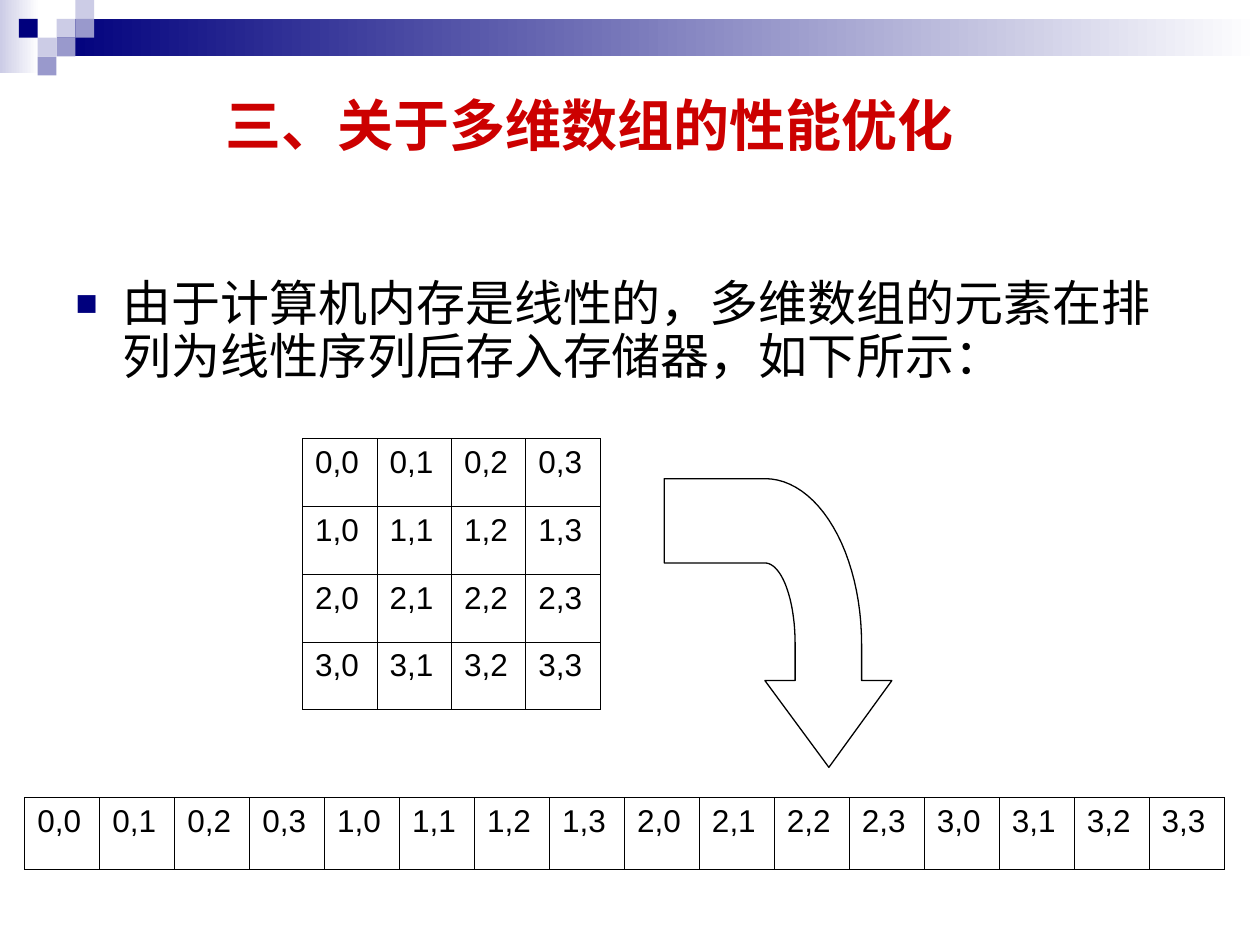
import math

from lxml import etree
from pptx import Presentation
from pptx.dml.color import RGBColor
from pptx.enum.shapes import MSO_SHAPE
from pptx.enum.text import MSO_ANCHOR, MSO_AUTO_SIZE, PP_ALIGN
from pptx.oxml.ns import qn
from pptx.util import Cm, Pt

RECTANGLE = MSO_SHAPE.RECTANGLE
MIDDLE, TOP = MSO_ANCHOR.MIDDLE, MSO_ANCHOR.TOP
LEFT = PP_ALIGN.LEFT
NO_AUTOFIT = MSO_AUTO_SIZE.NONE

WHITE = RGBColor(0xFF, 0xFF, 0xFF)
BLACK = RGBColor(0, 0, 0)
RED = RGBColor(0xCC, 0, 0)
NAVY = RGBColor(0, 0, 0x7D)
LAVENDER = RGBColor(0xCC, 0xCC, 0xE6)
PERIWINKLE = RGBColor(0x99, 0x99, 0xCC)

FONT = "Arial"
TILE = 0.38
TILES = [  # column, row, colour
    (3, 1, LAVENDER), (4, 0, LAVENDER), (4, 1, PERIWINKLE), (2, 2, LAVENDER),
    (1, 1, NAVY), (3, 2, PERIWINKLE), (2, 3, PERIWINKLE),
]


def add_rectangle(page, left, top, width, height):
    box = page.shapes.add_shape(RECTANGLE, Cm(left), Cm(top), Cm(width), Cm(height))
    box.shadow.inherit = False
    box.line.fill.background()
    return box


def add_fading_bar(page, left, top, width, height, color):
    fill = add_rectangle(page, left, top, width, height).fill
    fill.gradient()
    fill.gradient_angle = 0
    for stop, stop_color in zip(fill.gradient_stops, (color, WHITE)):
        stop.color.rgb = stop_color


def add_banner(page):
    add_fading_bar(page, 0, 0, 0.79, 1.47, LAVENDER)
    add_fading_bar(page, 3 * TILE, TILE, 25.4 - 3 * TILE, 2 * TILE, NAVY)
    for column, row, color in TILES:
        tile = add_rectangle(page, column * TILE, row * TILE, TILE, TILE)
        tile.fill.solid()
        tile.fill.fore_color.rgb = color


def format_paragraph(para, size, color, bold=False):
    para.alignment = LEFT
    para.space_before = Pt(0)
    for span in para.runs:
        span.font.name = FONT
        span.font.size = Pt(size)
        span.font.bold = bold
        span.font.color.rgb = color


def fill_placeholder(box, text, left, top, width, height, anchor):
    box.left, box.top, box.width, box.height = Cm(left), Cm(top), Cm(width), Cm(height)
    frame = box.text_frame
    frame.text = text
    frame.word_wrap = True
    frame.auto_size = NO_AUTOFIT
    frame.vertical_anchor = anchor
    return frame.paragraphs[0]


def add_square_bullet(para):
    properties = para._p.get_or_add_pPr()
    properties.set("marL", str(Cm(0.95)))
    properties.set("indent", str(-Cm(0.95)))
    color = etree.SubElement(properties, qn("a:buClr"))
    etree.SubElement(color, qn("a:srgbClr"), val=str(NAVY))
    etree.SubElement(properties, qn("a:buSzPct"), val="75000")
    etree.SubElement(properties, qn("a:buFont"), typeface=FONT)
    etree.SubElement(properties, qn("a:buChar"), char="■")


def add_cell_borders(cell):
    properties = cell._tc.get_or_add_tcPr()
    for side in ("a:lnL", "a:lnR", "a:lnT", "a:lnB"):
        line = etree.SubElement(properties, qn(side), w=str(Pt(0.45)))
        fill = etree.SubElement(line, qn("a:solidFill"))
        etree.SubElement(fill, qn("a:srgbClr"), val=str(BLACK))


def add_index_table(page, rows, left, top, width, height):
    frame = page.shapes.add_table(
        len(rows), len(rows[0]), Cm(left), Cm(top), Cm(width), Cm(height))
    table = frame.table
    table.first_row = False
    table.horz_banding = False
    for r, row in enumerate(rows):
        for c, label in enumerate(row):
            cell = table.cell(r, c)
            cell.text = label
            add_cell_borders(cell)
            cell.fill.background()
            format_paragraph(cell.text_frame.paragraphs[0], 18, BLACK)


def quarter_arc(center_x, center_y, radius_x, radius_y, steps=24):
    """Points clockwise from the top of an ellipse to its right side."""
    angles = [math.pi / 2 * step / steps for step in range(steps + 1)]
    return [(center_x + radius_x * math.sin(a), center_y - radius_y * math.cos(a))
            for a in angles]


def add_curved_arrow(page):
    outer = quarter_arc(15.42, 12.98, 1.95, 3.33)
    inner = quarter_arc(15.42, 12.98, 0.61, 1.63)
    head = [(17.37, 13.72), (17.98, 13.72), (16.71, 15.47), (15.42, 13.72), (16.03, 13.72)]
    points = [(13.39, 9.65), *outer, *head, *reversed(inner), (13.39, 11.35)]
    corners = [(Cm(x), Cm(y)) for x, y in points]
    builder = page.shapes.build_freeform(*corners[0])
    builder.add_line_segments(corners[1:], close=True)
    arrow = builder.convert_to_shape()
    arrow.shadow.inherit = False
    arrow.fill.background()
    arrow.line.color.rgb = BLACK
    arrow.line.width = Pt(0.75)


def main():
    deck = Presentation()
    deck.slide_width, deck.slide_height = Cm(25.4), Cm(19.05)
    page = deck.slides.add_slide(deck.slide_layouts[1])
    add_banner(page)

    title = fill_placeholder(page.shapes.title, "三、关于多维数组的性能优化",
                             4.29, 1.52, 16.43, 1.96, MIDDLE)
    format_paragraph(title, 32, RED, bold=True)

    body = fill_placeholder(
        page.placeholders[1],
        "由于计算机内存是线性的，多维数组的元素在排列为线性序列后存入存储器，如下所示：",
        1.27, 5.51, 22.83, 2.51, TOP)
    add_square_bullet(body)
    body.line_spacing = 0.9
    format_paragraph(body, 28, BLACK)

    matrix = [[f"{i},{j}" for j in range(4)] for i in range(4)]
    add_index_table(page, matrix, 6.1, 8.84, 6, 5.47)
    add_curved_arrow(page)
    add_index_table(page, [sum(matrix, [])], 0.5, 16.08, 24.19, 1.45)

    deck.save("out.pptx")


if __name__ == "__main__":
    main()
